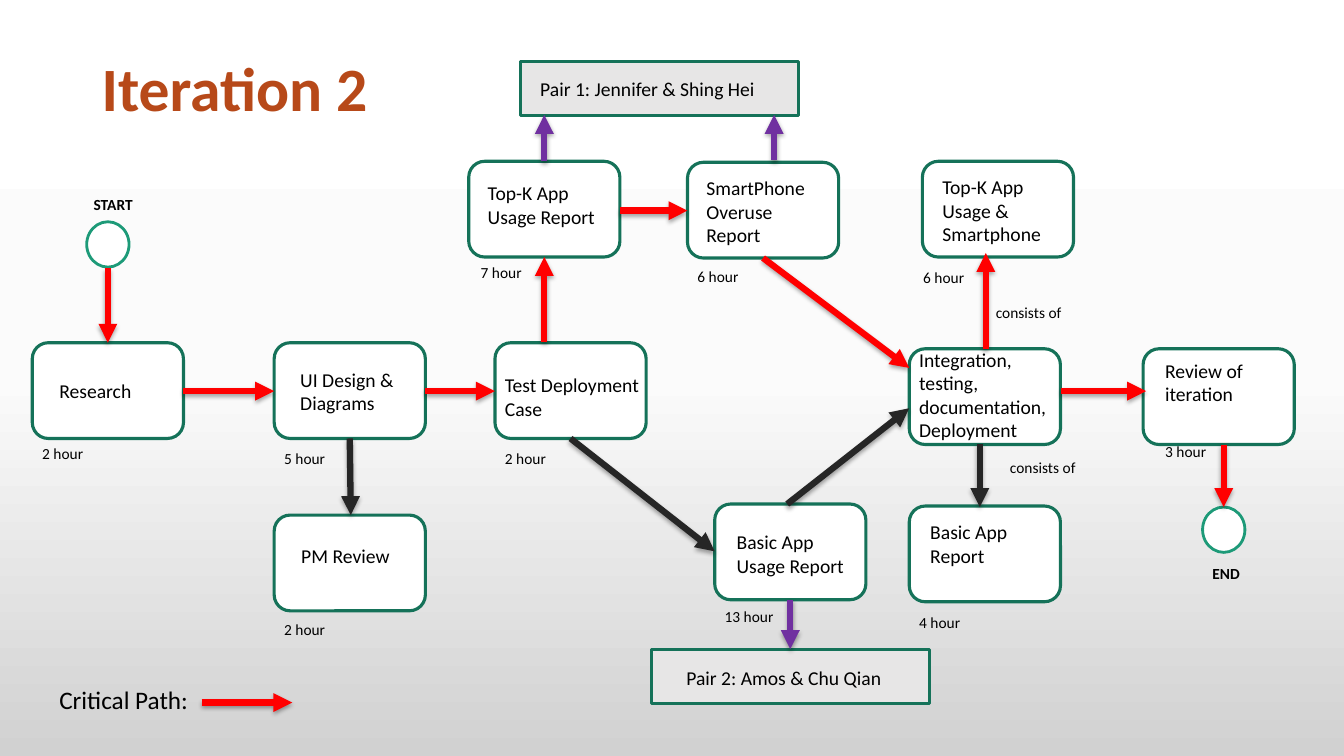
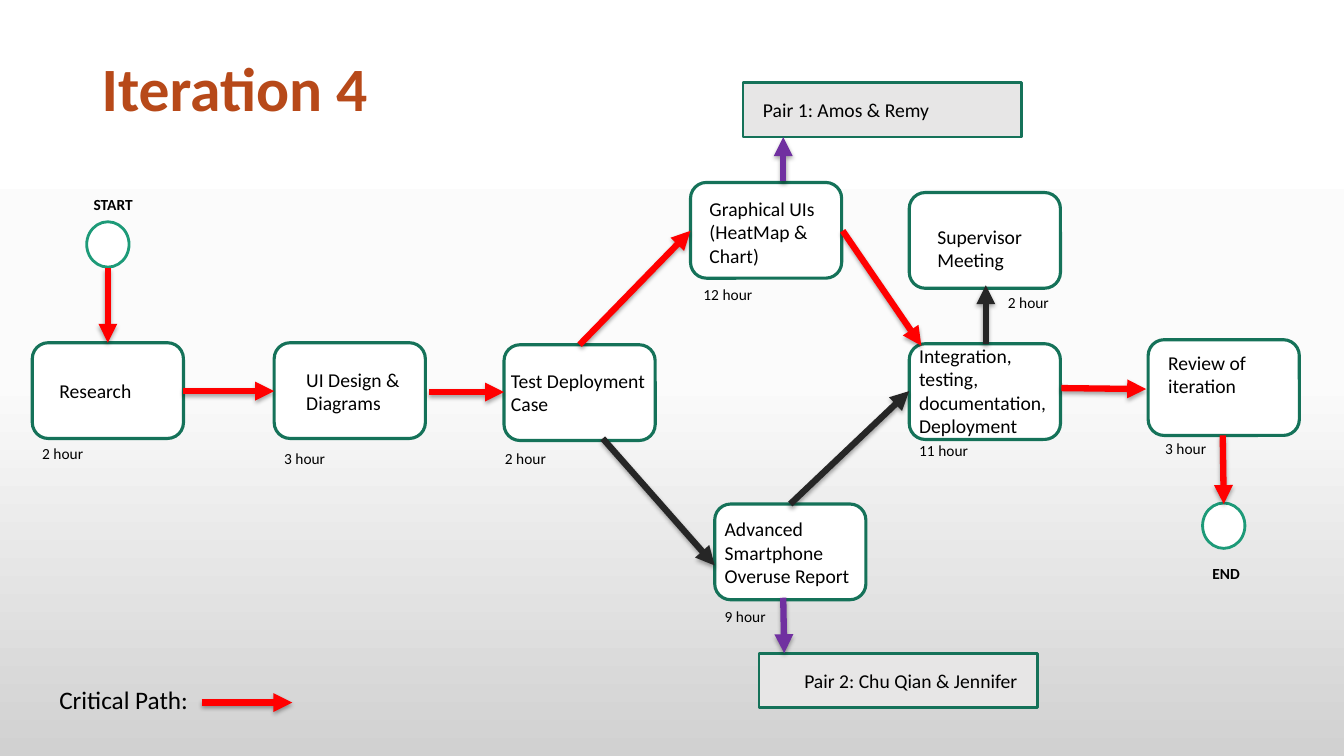
import copy
import lxml.etree
import pptx
import pptx.dml.color
import pptx.enum.dml
import pptx.enum.shapes
import pptx.enum.text
import pptx.oxml
import pptx.oxml.ns
import pptx.util

COLUMNS, ROWS = 133.33, 75
WIDTH, HEIGHT = pptx.util.Inches(13.33), pptx.util.Inches(7.5)
FONT = "Calibri"
BLACK, WHITE, TITLE = "000000", "FFFFFF", "B74919"
FRAME, RING, PANEL = "157259", "1D9A78", "E7E6E6"
CRITICAL, NORMAL, OWNER = "FF0000", "262626", "7030A0"
BACKGROUND = [(0, WHITE), (0.5, "FBFBFB"), (1, "D1D1D1")]
STEP_SIZE = (15, 9.5)
PAIR_SIZE = (27.6, 5.4)
RING_SIZE = (4.2, 4.5)
SHAPES = pptx.enum.shapes.MSO_SHAPE
NAMESPACE = pptx.oxml.ns.nsdecls("a")

RESEARCH = ("Research", (3.2, 34), (4.9, 37.1, 11.5, 1))
INTEGRATION = "Integration, testing, documentation, Deployment"

ITERATION_2 = {
    "title": "Iteration 2",
    "end_row": 50.3,
    "pairs": [
        ("Pair 1: Jennifer & Shing Hei", (51.6, 6.1), (52.6, 7.1)),
        ("Pair 2: Amos & Chu Qian", (64.6, 64.4), (67.1, 65.6)),
    ],
    "steps": [
        RESEARCH,
        ("UI Design & Diagrams", (27.2, 34), (28.8, 36, 13.2, 2)),
        ("PM Review", (27.2, 51.1), (28.9, 53.5, 13.2, 1)),
        ("Test Deployment Case", (49.1, 34), (49.1, 36.5, 16.6, 2)),
        ("Top-K App Usage Report", (46.5, 16), (47.4, 17.5, 13.8, 2)),
        ("SmartPhone Overuse Report", (68.2, 16.1), (69.1, 17, 13.8, 3)),
        ("Basic App Usage Report", (70.9, 50), (72.1, 52.1, 13.8, 2)),
        (INTEGRATION, (90.2, 34.6), (90.2, 34, 14.8, 4)),
        ("Top-K App Usage & Smartphone", (91.5, 16), (92.5, 16.9, 13.8, 3)),
        ("Basic App Report", (90.2, 50.2), (91.3, 51.1, 13.8, 2)),
        ("Review of iteration", (113.4, 34.6), (114.6, 35.1, 13.8, 2)),
    ],
    "notes": [
        ("2 hour", 3.2, 43.6),
        ("5 hour", 27.2, 44.1),
        ("2 hour", 49.1, 44.1),
        ("2 hour", 27.2, 61),
        ("7 hour", 46.7, 25.6),
        ("6 hour", 68.2, 26),
        ("13 hour", 70.9, 59.7),
        ("6 hour", 90.6, 26.1),
        ("4 hour", 90.2, 60.3),
        ("3 hour", 114.6, 43.4),
        ("consists of", 97.8, 29.6),
        ("consists of", 99.2, 45),
    ],
    "arrows": {
        CRITICAL: [
            (18.2, 38.8, 27.2, 38.8),
            (42.2, 38.8, 49.1, 38.8),
            (54, 33.9, 54, 25.5),
            (61.5, 20.9, 68.2, 20.9),
            (75.7, 25.6, 90.2, 36.5),
            (97.8, 34.6, 97.8, 25.1),
            (105.3, 38.8, 113.7, 38.8),
            (121.4, 44.1, 121.4, 50.3),
        ],
        NORMAL: [
            (34.7, 43.5, 34.8, 51.1),
            (56.6, 43.5, 70.9, 54.7),
            (78.1, 50, 90.2, 40.5),
            (97.2, 44, 97.2, 50.3),
        ],
        OWNER: [
            (54, 16, 54, 11.4),
            (76.8, 15.9, 76.8, 11.4),
            (78.4, 59.5, 78.4, 64.4),
        ],
    },
}

ITERATION_4 = {
    "title": "Iteration 4",
    "end_row": 49.9,
    "pairs": [
        ("Pair 1: Amos & Remy", (73.7, 8.2), (74.7, 9.2)),
        ("Pair 2: Chu Qian & Jennifer", (75.3, 64.8), (78.8, 65.9)),
    ],
    "steps": [
        RESEARCH,
        ("UI Design & Diagrams", (27.2, 34), (29.4, 36, 13.2, 2)),
        ("Test Deployment Case", (50, 34.2), (49.7, 36.1, 16.6, 2)),
        ("Graphical UIs (HeatMap & Chart)", (68.5, 18.1), (69.4, 19, 13.8, 3)),
        ("Advanced Smartphone Overuse Report", (70.9, 50), (70.9, 50.8, 15, 3)),
        (INTEGRATION, (90.2, 34.1), (90.2, 33.6, 14.8, 4)),
        ("Supervisor Meeting", (90.2, 19.1), (92, 21.8, 13.2, 2)),
        ("Review of iteration", (113.9, 33.7), (114.9, 34.3, 13.8, 2)),
    ],
    "notes": [
        ("2 hour", 3.2, 43.6),
        ("3 hour", 27.2, 44.1),
        ("2 hour", 49.1, 44.1),
        ("12 hour", 68.8, 27.8),
        ("9 hour", 70.9, 59.7),
        ("11 hour", 90.2, 43.3),
        ("2 hour", 99, 28.6),
        ("3 hour", 114.6, 43.1),
    ],
    "arrows": {
        CRITICAL: [
            (18.2, 38.8, 27.2, 38.8),
            (42.6, 38.9, 50, 38.9),
            (57.5, 34.2, 68.5, 22.9),
            (83.6, 22.9, 91.4, 34.3),
            (105.3, 38.5, 113.7, 38.6),
            (121.3, 43.2, 121.4, 50),
        ],
        NORMAL: [
            (97.8, 34.1, 97.8, 28.3),
            (59.8, 43.5, 70.9, 56.1),
            (78.4, 50, 90.2, 38.8),
        ],
        OWNER: [
            (77.7, 18, 77.7, 13.6),
            (77.7, 59.3, 77.8, 64.8),
        ],
    },
}


def color(value):
    return pptx.dml.color.RGBColor.from_string(value)


def across(columns):
    return round(WIDTH * columns / COLUMNS)


def down(rows):
    return round(HEIGHT * rows / ROWS)


def area(left, top, width, height):
    return across(left), down(top), across(width), down(height)


def add_text(slide, text, left, top, width, height, size=14, ink=BLACK, bold=False,
             anchor=pptx.enum.text.MSO_ANCHOR.TOP, spacing=None, outline=None):
    box = slide.shapes.add_textbox(*area(left, top, width, height))
    frame = box.text_frame
    frame.word_wrap = True
    frame.vertical_anchor = anchor
    if anchor == pptx.enum.text.MSO_ANCHOR.TOP:
        frame.auto_size = pptx.enum.text.MSO_AUTO_SIZE.SHAPE_TO_FIT_TEXT
    para = frame.paragraphs[0]
    if spacing:
        para.line_spacing = spacing
    span = para.add_run()
    span.text = text
    span.font.name = FONT
    span.font.size = pptx.util.Pt(size)
    span.font.bold = bold
    span.font.color.rgb = color(ink)
    if outline:
        span._r.get_or_add_rPr().insert(0, pptx.oxml.parse_xml(
            f'<a:ln {NAMESPACE} w="9525"><a:solidFill><a:srgbClr val="{outline}"/>'
            '</a:solidFill></a:ln>'))


def add_panel(slide, kind, place, size, fill=WHITE, edge=FRAME, weight=2):
    panel = slide.shapes.add_shape(kind, *area(*place, *size))
    panel.shadow.inherit = False
    panel.fill.solid()
    panel.fill.fore_color.rgb = color(fill)
    panel.line.color.rgb = color(edge)
    panel.line.width = pptx.util.Pt(weight)


def add_arrow(slide, ink, left, top, right, bottom):
    arrow = slide.shapes.add_connector(
        pptx.enum.shapes.MSO_CONNECTOR.STRAIGHT,
        across(left), down(top), across(right), down(bottom))
    arrow.line.color.rgb = color(ink)
    arrow.line.width = pptx.util.Pt(4.5)
    properties = arrow.element.spPr
    stroke = properties.find(pptx.oxml.ns.qn("a:ln"))
    lxml.etree.SubElement(stroke, pptx.oxml.ns.qn("a:tailEnd"), type="triangle")
    properties.append(pptx.oxml.parse_xml(
        f'<a:effectLst {NAMESPACE}><a:outerShdw blurRad="40000" dist="23000" dir="5400000" '
        f'rotWithShape="0"><a:srgbClr val="{BLACK}"><a:alpha val="35000"/></a:srgbClr>'
        '</a:outerShdw></a:effectLst>'))


def add_pair(slide, text, place, label):
    add_panel(slide, SHAPES.RECTANGLE, place, PAIR_SIZE, fill=PANEL)
    add_text(slide, text, *label, 29.2, 3.4)


def add_step(slide, text, place, label):
    left, top, width, lines = label
    add_panel(slide, SHAPES.ROUNDED_RECTANGLE, place, STEP_SIZE, weight=2.25)
    add_text(slide, text, left, top, width, 1 + 2.36 * lines)


def add_terminal(slide, text, place, label):
    add_panel(slide, SHAPES.OVAL, place, RING_SIZE, edge=RING)
    add_text(slide, text, *label, 6.7, 2.9, size=11, bold=True)


def set_background(master):
    fill = master.background.fill
    fill.gradient()
    fill.gradient_angle = 270
    stops = next(master.element.iter(pptx.oxml.ns.qn("a:gsLst")))
    stops.append(copy.deepcopy(stops[0]))
    for stop, (position, shade) in zip(fill.gradient_stops, BACKGROUND):
        stop.position = position
        stop.color.rgb = color(shade)


def add_iteration(deck, plan):
    slide = deck.slides.add_slide(deck.slide_layouts[6])
    add_text(slide, plan["title"], 9.1, 1.8, 115, 14.5, size=44, ink=TITLE, bold=True,
             anchor=pptx.enum.text.MSO_ANCHOR.MIDDLE, spacing=0.9, outline=WHITE)
    for pair in plan["pairs"]:
        add_pair(slide, *pair)
    for step in plan["steps"]:
        add_step(slide, *step)
    for text, left, top in plan["notes"]:
        add_text(slide, text, left, top, 10.8, 2.9, size=11)
    add_terminal(slide, "START", (8.6, 22), (8.3, 18.9))
    add_terminal(slide, "END", (119.3, plan["end_row"]), (119.3, 55.5))
    add_arrow(slide, CRITICAL, 10.7, 26.6, 10.7, 34)
    for ink, arrows in plan["arrows"].items():
        for ends in arrows:
            add_arrow(slide, ink, *ends)
    add_text(slide, "Critical Path:", 4.9, 67.4, 29.7, 4, size=18)
    add_arrow(slide, CRITICAL, 20, 69.7, 29, 69.7)


def main():
    deck = pptx.Presentation()
    deck.slide_width, deck.slide_height = WIDTH, HEIGHT
    set_background(deck.slide_master)
    for plan in (ITERATION_2, ITERATION_4):
        add_iteration(deck, plan)
    deck.save("out.pptx")


main()
